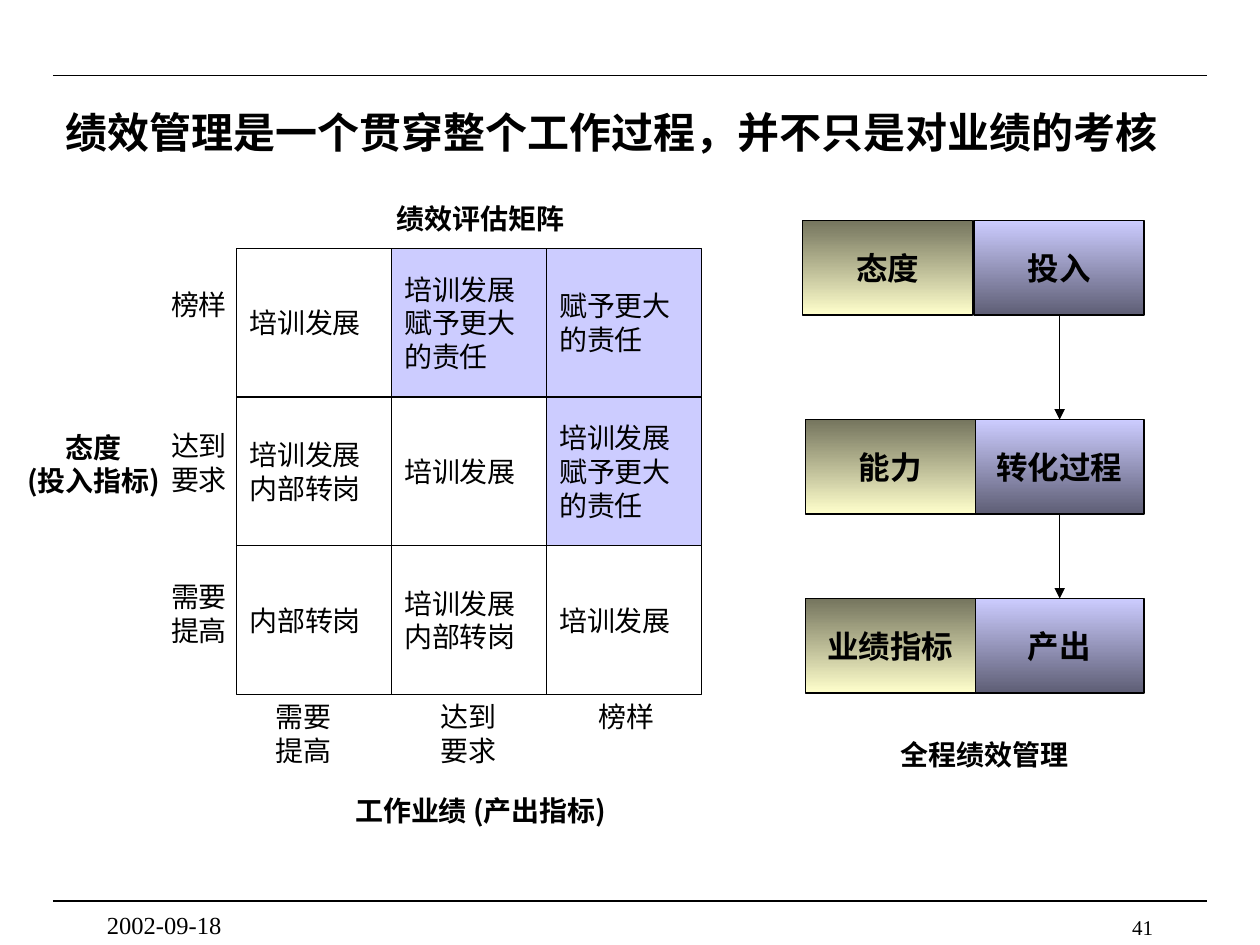
from lxml import etree
from pptx import Presentation
from pptx.dml.color import RGBColor
from pptx.enum import shapes, text
from pptx.oxml.ns import qn
from pptx.util import Inches, Pt

BLACK = RGBColor(0x00, 0x00, 0x00)
WHITE = RGBColor(0xFF, 0xFF, 0xFF)
LILAC = RGBColor(0xCC, 0xCC, 0xFF)
SLATE = RGBColor(0x5E, 0x5E, 0x75)
OLIVE = RGBColor(0x75, 0x75, 0x5E)
CREAM = RGBColor(0xFF, 0xFF, 0xCC)
SANS, SERIF = "Noto Sans CJK SC", "Times New Roman"
LEFT, CENTER, RIGHT = text.PP_ALIGN.LEFT, text.PP_ALIGN.CENTER, text.PP_ALIGN.RIGHT
MIDDLE, TOP = text.MSO_ANCHOR.MIDDLE, text.MSO_ANCHOR.TOP

prs = Presentation()
prs.slide_width, prs.slide_height = Inches(10), Inches(7.5)
slide = prs.slides.add_slide(prs.slide_layouts[6])


def add_text(wording, x, y, w, h, *, size=16, font=SANS, bold=False,
             align=CENTER, anchor=MIDDLE, wrap=True, fill=None):
    """Add a text box, or an outlined box when fill holds one or two colours."""
    place = Inches(x), Inches(y), Inches(w), Inches(h)
    if fill:
        box = slide.shapes.add_shape(shapes.MSO_SHAPE.RECTANGLE, *place)
        box.shadow.inherit = False
        box.line.color.rgb = BLACK
        box.line.width = Pt(0.75)
        if len(fill) == 1:
            box.fill.solid()
            box.fill.fore_color.rgb = fill[0]
        else:
            box.fill.gradient()
            box.fill.gradient_angle = 270
            for stop, colour, position in zip(box.fill.gradient_stops, fill, (0, 1)):
                stop.color.rgb = colour
                stop.position = position
    else:
        box = slide.shapes.add_textbox(*place)
    frame = box.text_frame
    frame.word_wrap = wrap
    frame.vertical_anchor = anchor
    frame.text = wording
    for paragraph in frame.paragraphs:
        paragraph.alignment = align
        for run in paragraph.runs:
            run.font.size = Pt(size)
            run.font.bold = bold
            run.font.name = font
            run.font.color.rgb = BLACK
            east_asian = etree.SubElement(run.font._element, qn("a:ea"))
            east_asian.set("typeface", SANS)


def add_line(x1, y1, x2, y2, arrow=False):
    line = slide.shapes.add_connector(shapes.MSO_CONNECTOR.STRAIGHT,
                                      Inches(x1), Inches(y1), Inches(x2), Inches(y2))
    line.line.color.rgb = BLACK
    line.line.width = Pt(0.75)
    if arrow:
        etree.SubElement(line.line._get_or_add_ln(), qn("a:tailEnd")).set("type", "triangle")
    etree.SubElement(line._element.spPr, qn("a:effectLst"))


# Page rules and title
for rule_y in (0.6, 7.15):
    add_line(0.42, rule_y, 9.58, rule_y)
add_text("绩效管理是一个贯穿整个工作过程，并不只是对业绩的考核", 0.42, 0.67, 9.25, 0.75,
         size=24, font=SERIF, bold=True, align=LEFT)

# Appraisal matrix: wording and whether the cell is highlighted
TRAIN, MOVE, PROMOTE = "培训发展", "内部转岗", "赋予更大\n的责任"
matrix = [
    [(TRAIN, False), (f"{TRAIN}\n{PROMOTE}", True), (PROMOTE, True)],
    [(f"{TRAIN}\n{MOVE}", False), (TRAIN, False), (f"{TRAIN}\n{PROMOTE}", True)],
    [(MOVE, False), (f"{TRAIN}\n{MOVE}", False), (TRAIN, False)],
]
cell_w, cell_h = 1.23, 1.18
for row, cells in enumerate(matrix):
    for col, (actions, highlighted) in enumerate(cells):
        add_text(actions, 1.88 + col * cell_w, 1.97 + row * cell_h, cell_w, cell_h,
                 align=LEFT, fill=[LILAC if highlighted else WHITE])

# Matrix scales: wording, place in the column scale, place in the row scale
levels = [("需要\n提高", 2.09, 4.55, 0.64),
          ("达到\n要求", 3.4, 3.35, 0.64),
          ("榜样", 4.65, 2.23, 0.37)]
for level, column_x, row_y, height in levels:
    add_text(level, column_x, 5.5, 0.64, height, wrap=False)
    add_text(level, 1.26, row_y, 0.64, height, wrap=False)

# Matrix heading and axis titles
add_text("绩效评估矩阵", 3.05, 1.55, 1.53, 0.37, bold=True, wrap=False)
add_text("工作业绩 (产出指标)", 2.64, 6.25, 2.35, 0.37, bold=True, wrap=False)
add_text("态度\n(投入指标)", 0.08, 3.23, 1.33, 0.9, bold=True)

# Whole-process chain: measure on the left, stage on the right
chain = [("态度", "投入", 6.37, 1.75),
         ("能力", "转化过程", 6.39, 3.33),
         ("业绩指标", "产出", 6.39, 4.75)]
box_w, box_h = 1.35, 0.75
for measure, stage, measure_x, y in chain:
    add_text(stage, 7.73, y, box_w, box_h, size=18, font=SERIF, bold=True,
             fill=[LILAC, SLATE])
    add_text(measure, measure_x, y, box_w, box_h, size=18, font=SERIF, bold=True,
             fill=[OLIVE, CREAM])
for upper, lower in zip(chain, chain[1:]):
    add_line(8.41, upper[3] + box_h, 8.41, lower[3], arrow=True)
add_text("全程绩效管理", 7.05, 5.8, 1.53, 0.37, bold=True, wrap=False)

# Footer
add_text("2002-09-18", 0.75, 7.17, 2.08, 0.25, size=14, font=SERIF, align=LEFT, anchor=TOP)
add_text("41", 7.17, 7.21, 2.08, 0.17, size=12, font=SERIF, align=RIGHT, anchor=TOP)

prs.save("out.pptx")
